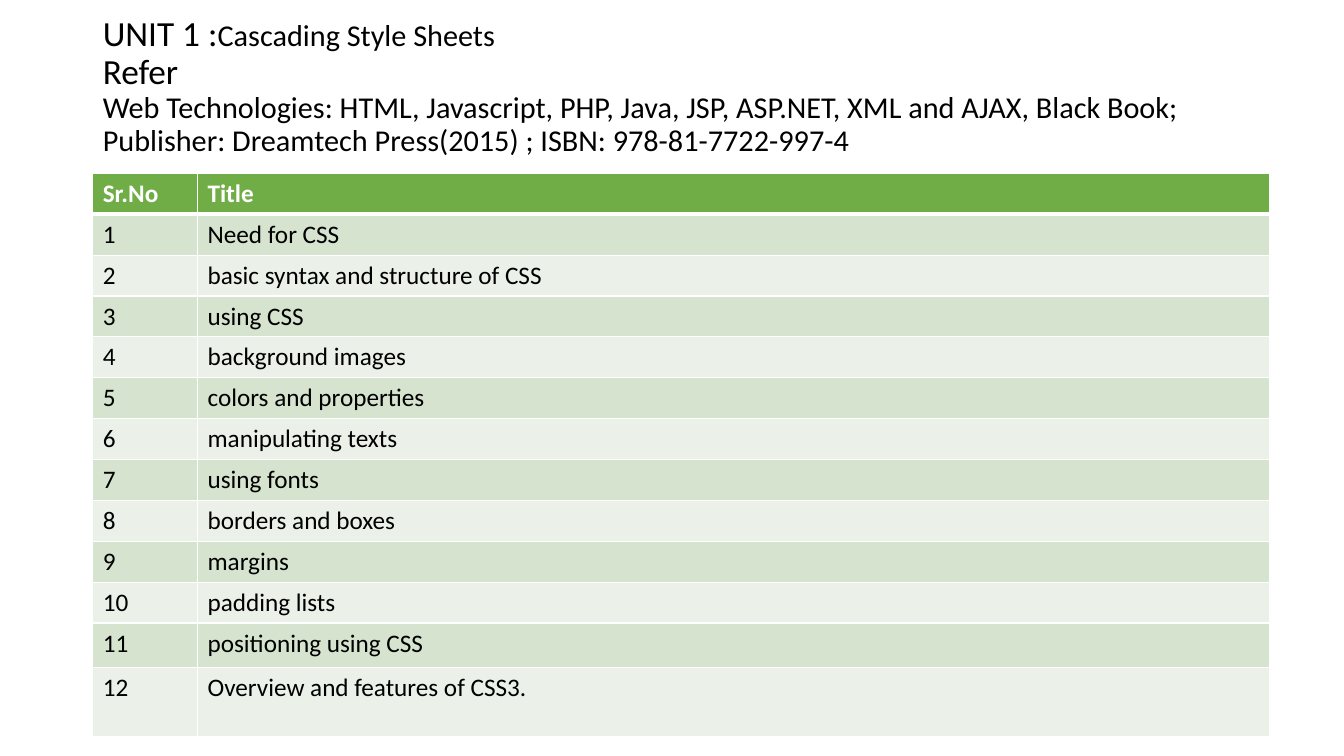
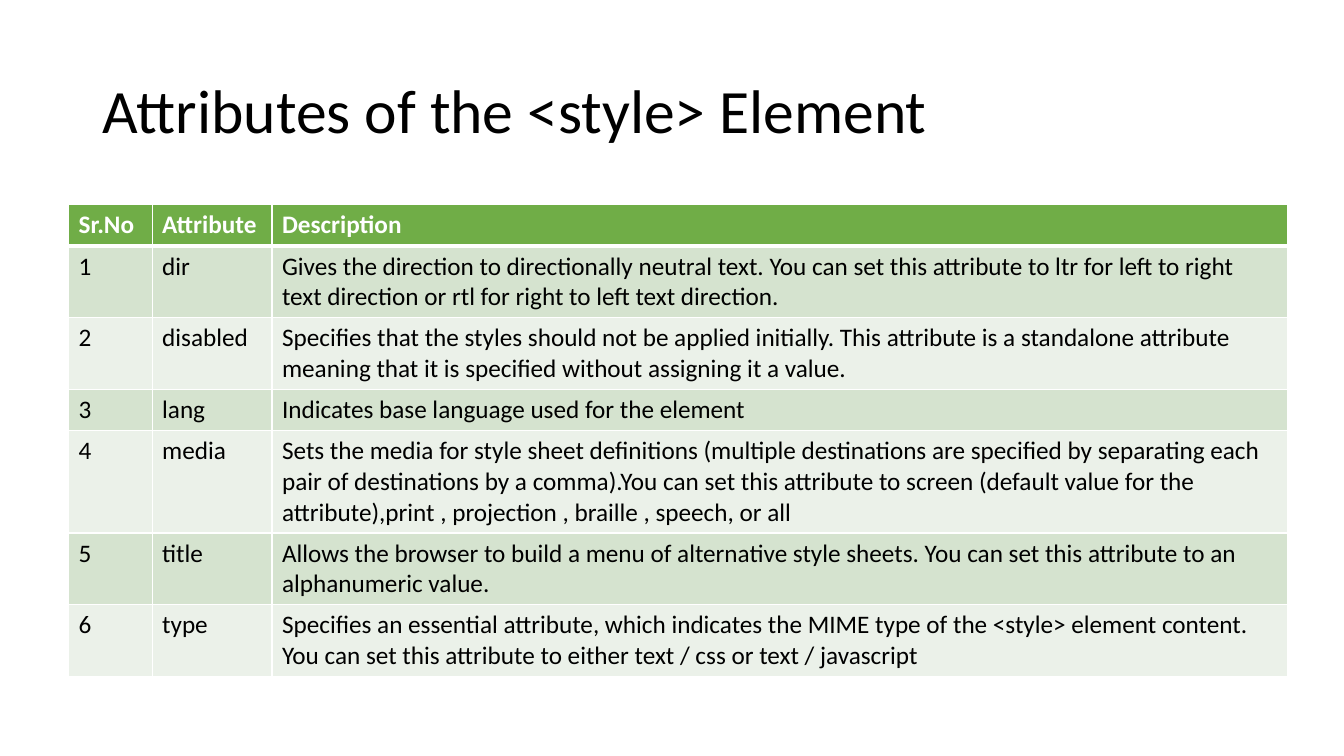
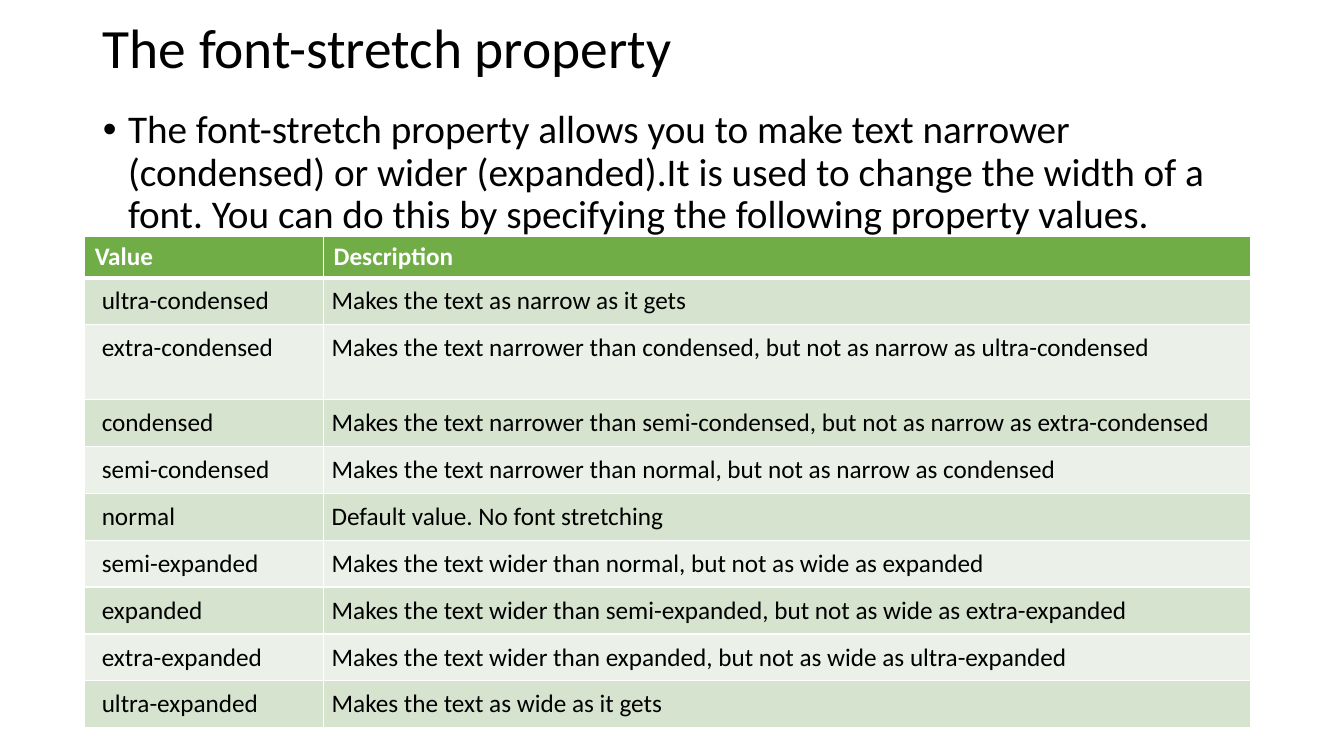
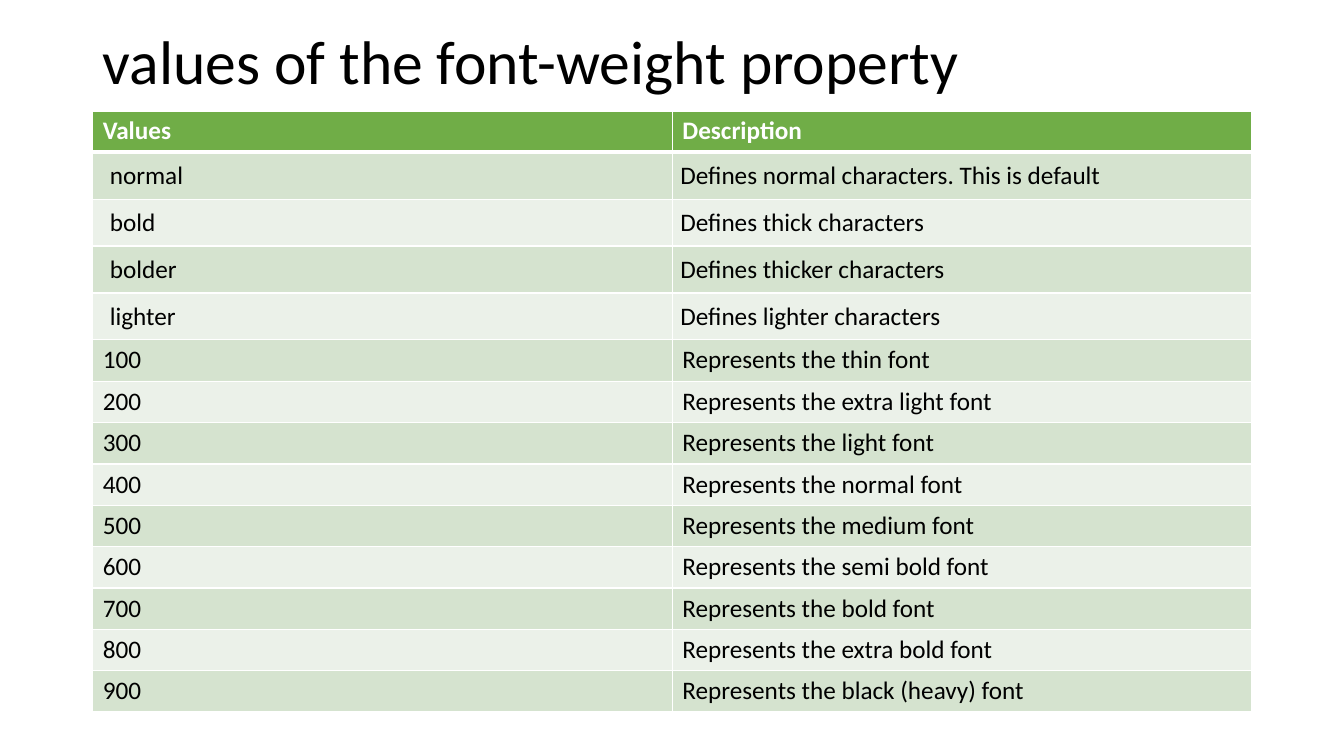
import pptx
import pptx.dml.color
import pptx.enum.text
import pptx.oxml
import pptx.oxml.ns
import pptx.util

RGBColor = pptx.dml.color.RGBColor
Anchor = pptx.enum.text.MSO_ANCHOR

# Shared look
BLACK = RGBColor(0x00, 0x00, 0x00)
WHITE = RGBColor(0xFF, 0xFF, 0xFF)
HEADER_GREEN = RGBColor(0x70, 0xAD, 0x47)
BANDS = (RGBColor(0xD5, 0xE3, 0xCF), RGBColor(0xEB, 0xF1, 0xE9))
FONT = "Calibri"
TABLE_SIZE = 18
LINE_SPACING = 0.9
THIN, THICK = 1, 3

# Slide size, and the margin and text width in percent of it
SLIDE_WIDTH = pptx.util.Inches(13.33)
SLIDE_HEIGHT = pptx.util.Inches(7.5)
MARGIN, TEXT_WIDTH = 6.9, 86.25
COMPACT_ROW, ROW = 5.2, 5.47

TITLE_AND_CONTENT, TITLE_ONLY = 1, 5

TOPICS = [
    "Need for CSS",
    "basic syntax and structure of CSS",
    "using CSS",
    "background images",
    "colors and properties",
    "manipulating texts",
    "using fonts",
    "borders and boxes",
    "margins",
    "padding lists",
    "positioning using CSS",
    "Overview and features of CSS3.",
]

STYLE_ATTRIBUTES = [
    ("dir", "Gives the direction to directionally neutral text. You can set this "
            "attribute to ltr for left to right text direction or rtl for right to "
            "left text direction."),
    ("disabled", "Specifies that the styles should not be applied initially. This "
                 "attribute is a standalone attribute meaning that it is specified "
                 "without assigning it a value."),
    ("lang", "Indicates base language used for the element"),
    ("media", "Sets the media for style sheet definitions (multiple destinations are "
              "specified by separating each pair of destinations by a comma).You can "
              "set this attribute to screen (default value for the attribute),print , "
              "projection , braille , speech, or all"),
    ("title", "Allows the browser to build a menu of alternative style sheets. You "
              "can set this attribute to an alphanumeric value."),
    ("type", "Specifies an essential attribute, which indicates the MIME type of the "
             "<style> element content. You can set this attribute to either "
             "text / css or text / javascript"),
]

STRETCH_INTRO = (
    "The font-stretch property allows you to make text narrower (condensed) or wider "
    "(expanded).It is used to change the width of a font. You can do this by "
    "specifying the following property values."
)

STRETCH_VALUES = [
    ("ultra-condensed", "Makes the text as narrow as it gets"),
    ("extra-condensed",
     "Makes the text narrower than condensed, but not as narrow as ultra-condensed"),
    ("condensed",
     "Makes the text narrower than semi-condensed, but not as narrow as extra-condensed"),
    ("semi-condensed",
     "Makes the text narrower than normal, but not as narrow as condensed"),
    ("normal", "Default value. No font stretching"),
    ("semi-expanded", "Makes the text wider than normal, but not as wide as expanded"),
    ("expanded",
     "Makes the text wider than semi-expanded, but not as wide as extra-expanded"),
    ("extra-expanded",
     "Makes the text wider than expanded, but not as wide as ultra-expanded"),
    ("ultra-expanded", "Makes the text as wide as it gets"),
]

WEIGHT_KEYWORDS = [
    ("normal", "Defines normal characters. This is default"),
    ("bold", "Defines thick characters"),
    ("bolder", "Defines thicker characters"),
    ("lighter", "Defines lighter characters"),
]

WEIGHT_NAMES = ["thin", "extra light", "light", "normal", "medium", "semi bold",
                "bold", "extra bold", "black (heavy)"]


def across(percent):
    return round(SLIDE_WIDTH * percent / 100)


def down(percent):
    return round(SLIDE_HEIGHT * percent / 100)


def style_font(font, size, color=BLACK, bold=False):
    font.name = FONT
    font.size = pptx.util.Pt(size)
    font.color.rgb = color
    font.bold = bold


def place_text(shape, top, height, anchor):
    """Put a placeholder in the text column and return its text frame."""
    shape.left, shape.width = across(MARGIN), across(TEXT_WIDTH)
    shape.top, shape.height = down(top), down(height)
    frame = shape.text_frame
    frame.word_wrap = True
    frame.auto_size = pptx.enum.text.MSO_AUTO_SIZE.NONE
    frame.vertical_anchor = anchor
    return frame


def format_paragraph(paragraph):
    paragraph.alignment = pptx.enum.text.PP_ALIGN.LEFT
    paragraph.line_spacing = LINE_SPACING
    paragraph.space_before = pptx.util.Pt(0)


def add_slide(presentation, lines, top, height, layout=TITLE_ONLY, anchor=Anchor.MIDDLE):
    """Add a slide; each title line is a list of (text, size) runs."""
    slide = presentation.slides.add_slide(presentation.slide_layouts[layout])
    frame = place_text(slide.shapes.title, top, height, anchor)
    for index, runs in enumerate(lines):
        paragraph = frame.add_paragraph() if index else frame.paragraphs[0]
        format_paragraph(paragraph)
        for text, size in runs:
            run = paragraph.add_run()
            run.text = text
            style_font(run.font, size)
    return slide


def add_bullet(slide, text, top, height, size):
    frame = place_text(slide.placeholders[1], top, height, Anchor.TOP)
    frame.text = text
    paragraph = frame.paragraphs[0]
    format_paragraph(paragraph)
    indent = pptx.util.Inches(0.25)
    properties = paragraph._p.get_or_add_pPr()
    properties.set("marL", str(indent))
    properties.set("indent", str(-indent))
    namespace = pptx.oxml.ns.nsdecls("a")
    for element in ('buFont %s typeface="Arial"', 'buChar %s char="•"'):
        properties.append(pptx.oxml.parse_xml(f"<a:{element % namespace}/>"))
    style_font(paragraph.font, size)


def add_borders(cell, row_index):
    """White rules on all sides, with a thick one under the header."""
    properties = cell._tc.get_or_add_tcPr()
    widths = {"L": THIN, "R": THIN,
              "T": THICK if row_index == 1 else THIN,
              "B": THICK if row_index == 0 else THIN}
    for side, width in widths.items():
        properties.append(pptx.oxml.parse_xml(
            f'<a:ln{side} {pptx.oxml.ns.nsdecls("a")} w="{pptx.util.Pt(width)}">'
            f'<a:solidFill><a:srgbClr val="{WHITE}"/></a:solidFill></a:ln{side}>'))


def pad_cell(cell, column_index):
    padding = pptx.util.Inches(0.08)
    cell.margin_left = padding if column_index else pptx.util.Inches(0.17)
    cell.margin_right = cell.margin_top = cell.margin_bottom = padding


def add_table(slide, left, top, columns, row_height, rows, tall_rows=None, padded=()):
    """Add a banded table; tall_rows maps row index to height, padded lists row indices."""
    heights = [(tall_rows or {}).get(index, row_height) for index in range(len(rows))]
    table = slide.shapes.add_table(
        len(rows), len(columns), across(left), down(top),
        across(sum(columns)), down(sum(heights))).table
    for column, width in zip(table.columns, columns):
        column.width = across(width)
    for row_index, (row, texts) in enumerate(zip(table.rows, rows)):
        row.height = down(heights[row_index])
        header = row_index == 0
        for column_index, (cell, text) in enumerate(zip(row.cells, texts)):
            cell.text = text
            add_borders(cell, row_index)
            cell.fill.solid()
            cell.fill.fore_color.rgb = HEADER_GREEN if header else BANDS[(row_index - 1) % 2]
            style_font(cell.text_frame.paragraphs[0].font, TABLE_SIZE,
                       WHITE if header else BLACK, header)
            if row_index in padded:
                pad_cell(cell, column_index)


def add_unit_slide(presentation):
    large, small = 25.2, 21.6
    lines = [
        [("UNIT 1 :", large), ("Cascading Style Sheets", small)],
        [("Refer", large)],
        [("Web Technologies: HTML, Javascript, PHP, Java, JSP, ASP.NET, XML and AJAX, "
          "Black Book; Publisher: Dreamtech Press(2015) ; ISBN: 978-81-7722-997-4", small)],
    ]
    slide = add_slide(presentation, lines, 2.13, 23.6, anchor=Anchor.TOP)
    slide.shapes.title.text_frame.margin_top = 0
    rows = [("Sr.No", "Title")]
    rows += [(str(number), topic) for number, topic in enumerate(TOPICS, 1)]
    add_table(slide, MARGIN, 22.93, (7.8, 79.8), COMPACT_ROW, rows,
              tall_rows={11: 5.9, 12: 9.2})


def add_attributes_slide(presentation):
    slide = add_slide(presentation, [[("Attributes of the <style> Element", 44)]], 5.33, 19.33)
    rows = [("Sr.No", "Attribute", "Description")]
    rows += [(str(number), *entry) for number, entry in enumerate(STYLE_ATTRIBUTES, 1)]
    add_table(slide, 5.1, 27.07, (6.22, 8.92, 75.6), ROW, rows)


def add_stretch_slide(presentation):
    slide = add_slide(presentation, [[("The font-stretch property", 39.6)]], 1.73, 10,
                      layout=TITLE_AND_CONTENT)
    add_bullet(slide, STRETCH_INTRO, 13.87, 76.13, 28)
    rows = [("Value", "Description")] + STRETCH_VALUES
    add_table(slide, 6.3, 31.33, (17.78, 69), COMPACT_ROW, rows,
              tall_rows={1: 6, 2: 9.9}, padded=range(1, len(rows)))


def add_weight_slide(presentation):
    slide = add_slide(presentation, [[("values of the font-weight property", 44)]], 2.53, 12.13)
    rows = [("Values", "Description")] + WEIGHT_KEYWORDS
    rows += [(str(100 * step), f"Represents the {name} font")
             for step, name in enumerate(WEIGHT_NAMES, 1)]
    add_table(slide, MARGIN, 14.67, (TEXT_WIDTH / 2,) * 2, ROW, rows,
              padded=range(1, len(WEIGHT_KEYWORDS) + 1))


def main():
    presentation = pptx.Presentation()
    presentation.slide_width, presentation.slide_height = SLIDE_WIDTH, SLIDE_HEIGHT
    add_unit_slide(presentation)
    add_attributes_slide(presentation)
    add_stretch_slide(presentation)
    add_weight_slide(presentation)
    presentation.save("out.pptx")


if __name__ == "__main__":
    main()
